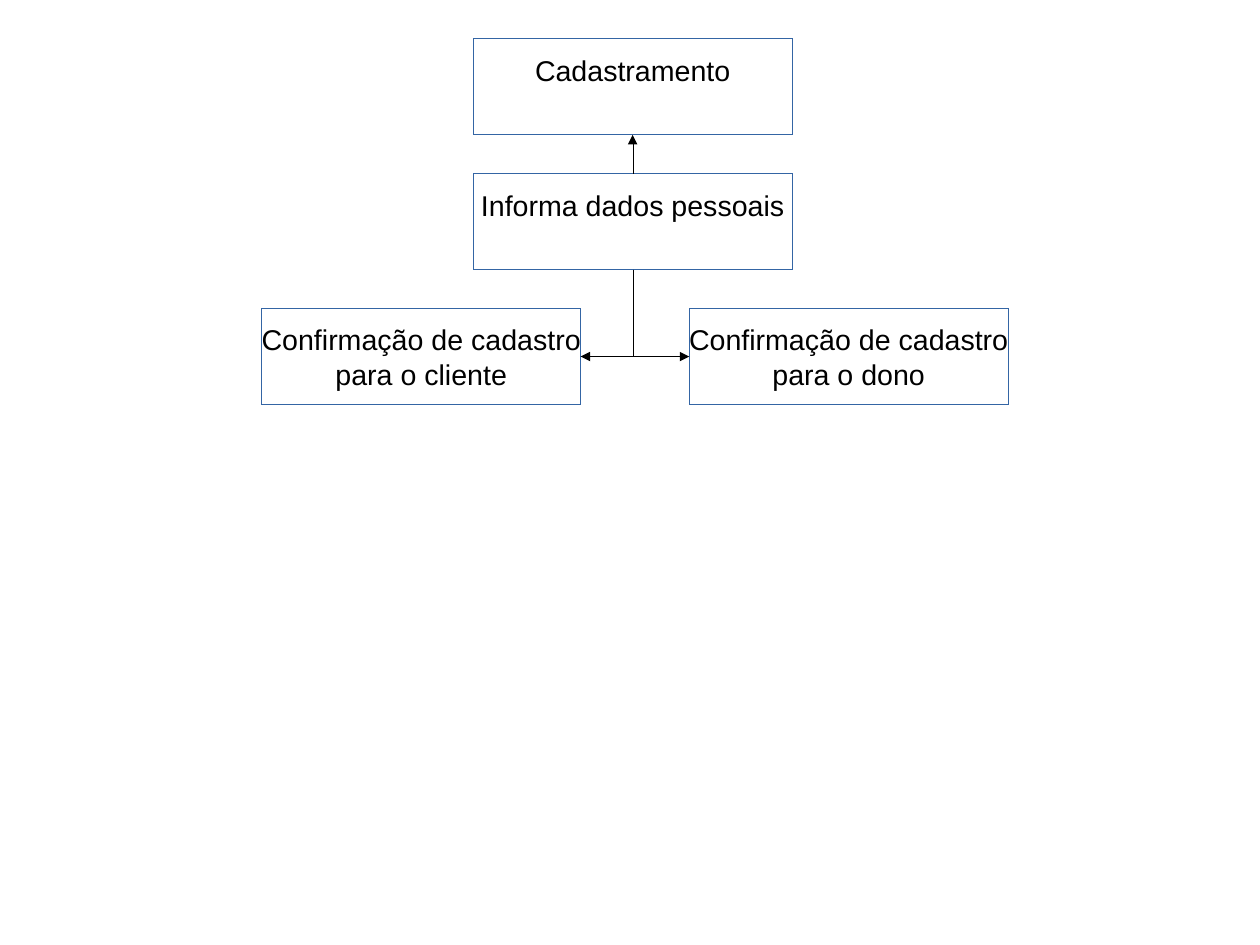
from lxml.etree import SubElement
from pptx import Presentation
from pptx.dml.color import RGBColor
from pptx.enum.shapes import MSO_CONNECTOR as Link, MSO_SHAPE as Shape
from pptx.enum.text import MSO_ANCHOR as Anchor, PP_ALIGN as Align
from pptx.oxml.ns import qn
from pptx.util import Cm, Inches, Pt

BLACK = RGBColor(0x00, 0x00, 0x00)
BLUE = RGBColor(0x34, 0x65, 0xA4)

# Grid: three columns and equally spaced rows, in inches
LEFT, CENTRE, RIGHT = 2.29, 4.14, 6.03
FIRST_ROW, ROW_STEP = 0.34, 1.18
BOX_WIDTH, BOX_HEIGHT = 2.79, 0.84
MARGIN, LINE_HEIGHT = 0.05, 0.29


def set_hairline(line, color):
    """Colour a line and write its zero width explicitly."""
    line.color.rgb = color
    outline = line._get_or_add_ln()
    outline.set("w", "0")
    return outline


def add_step(page, column, row, lines):
    """Draw an outlined box whose text takes up to two lines."""
    box = page.shapes.add_shape(
        Shape.RECTANGLE, Inches(column), Inches(FIRST_ROW + row * ROW_STEP),
        Inches(BOX_WIDTH), Inches(BOX_HEIGHT))
    box.shadow.inherit = False
    box.fill.background()
    set_hairline(box.line, BLUE)

    frame = box.text_frame
    frame.word_wrap = False
    frame.vertical_anchor = Anchor.MIDDLE
    frame.margin_top = Inches(MARGIN)
    frame.margin_bottom = Inches(MARGIN + LINE_HEIGHT * (2 - len(lines)))
    frame.text = "\n".join(lines)
    for para in frame.paragraphs:
        para.alignment = Align.CENTER
        for span in para.runs:
            span.font.name = "Arial"
            span.font.size = Pt(18)
            span.font.color.rgb = BLACK
    return box


def style_arrow(arrow):
    """Give a connector a thin black line and a triangle at its end."""
    outline = set_hairline(arrow.line, BLACK)
    SubElement(outline, qn("a:tailEnd"), type="triangle")
    SubElement(arrow._element.spPr, qn("a:effectLst"))


def add_straight_arrow(page, lower, upper):
    """Join the top of one box to the bottom of the box above."""
    arrow = page.shapes.add_connector(Link.STRAIGHT, 0, 0, 0, 0)
    arrow.begin_connect(lower, 0)
    arrow.end_connect(upper, 2)
    style_arrow(arrow)


def add_elbow_arrow(page, source, target):
    """Go down from the source, then sideways to the target's near side."""
    start_x = source.left + source.width // 2
    start_y = source.top + source.height
    end_y = target.top + target.height // 2
    to_left = target.left < source.left
    end_x = target.left + target.width if to_left else target.left

    # The unrotated frame shares its centre with the turned one
    centre_x, centre_y = (start_x + end_x) // 2, (start_y + end_y) // 2
    half_drop, half_span = (end_y - start_y) // 2, abs(end_x - start_x) // 2
    near, far = centre_x - half_drop, centre_x + half_drop
    begin, end = (near, far) if to_left else (far, near)
    arrow = page.shapes.add_connector(
        Link.ELBOW, begin, centre_y - half_span, end, centre_y + half_span)
    properties = arrow._element.spPr
    properties.find(qn("a:prstGeom")).set("prst", "bentConnector2")
    degrees = 90 if to_left else 270
    properties.find(qn("a:xfrm")).set("rot", str(degrees * 60000))
    style_arrow(arrow)


def main():
    deck = Presentation()
    deck.slide_width, deck.slide_height = Cm(28), Cm(21)
    page = deck.slides.add_slide(deck.slide_layouts[6])

    # Steps
    register = add_step(page, CENTRE, 0, ["Cadastramento"])
    details = add_step(page, CENTRE, 1, ["Informa dados pessoais"])
    confirmations = [
        add_step(page, column, 2, ["Confirmação de cadastro", reader])
        for column, reader in ((LEFT, "para o cliente"), (RIGHT, "para o dono"))]

    # Arrows
    add_straight_arrow(page, details, register)
    for confirmation in confirmations:
        add_elbow_arrow(page, details, confirmation)

    deck.save("out.pptx")


if __name__ == "__main__":
    main()
